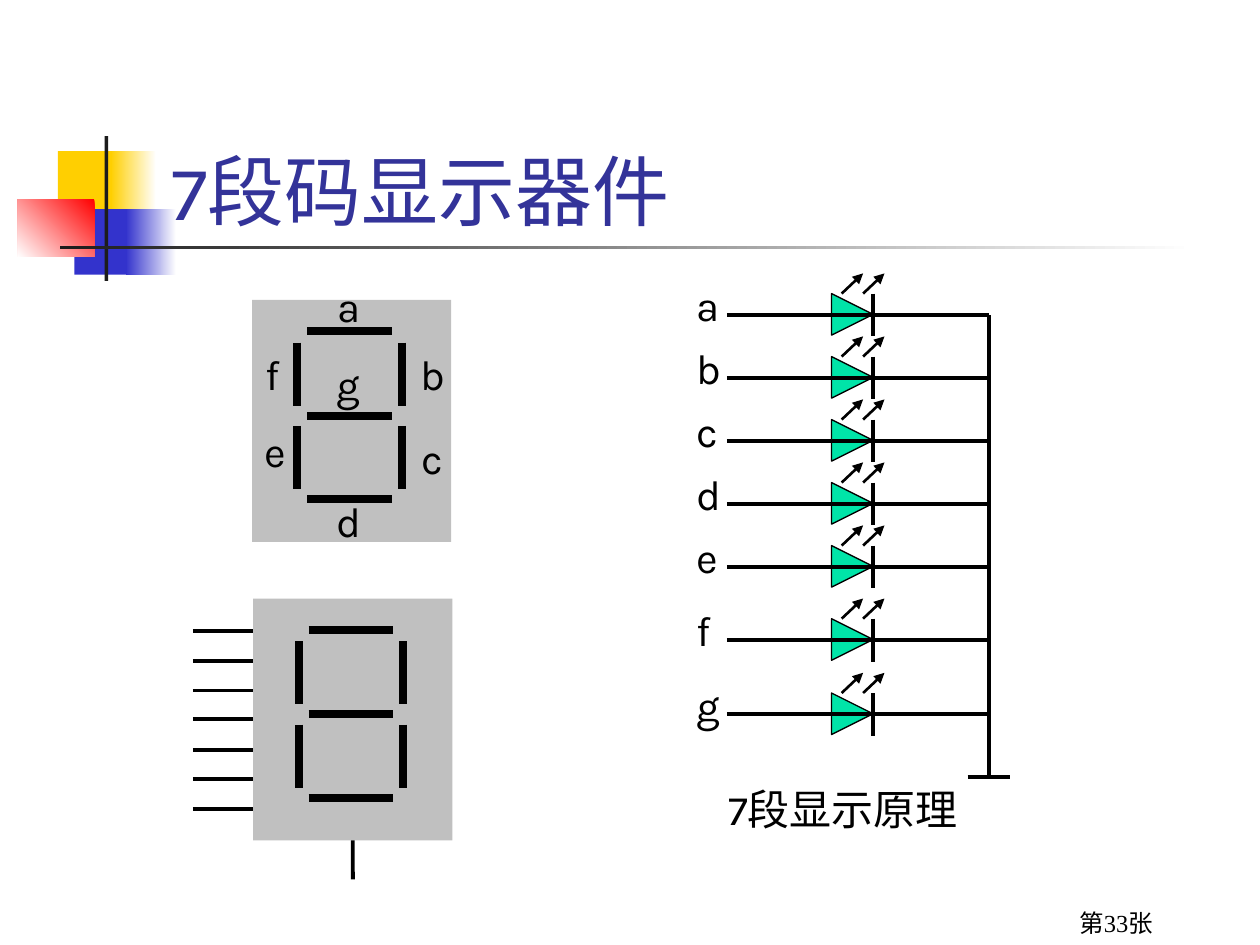
import pptx
import pptx.dml.color
import pptx.enum.shapes
import pptx.enum.text
import pptx.oxml.xmlchemy
import pptx.util

Inches = pptx.util.Inches
RGBColor = pptx.dml.color.RGBColor
OxmlElement = pptx.oxml.xmlchemy.OxmlElement
SHAPES = pptx.enum.shapes.MSO_SHAPE
ANCHOR = pptx.enum.text.MSO_ANCHOR
ALIGN = pptx.enum.text.PP_ALIGN
AUTO_SIZE = pptx.enum.text.MSO_AUTO_SIZE

BLACK = RGBColor(0x00, 0x00, 0x00)
WHITE = RGBColor(0xFF, 0xFF, 0xFF)
YELLOW = RGBColor(0xFF, 0xCF, 0x01)
BLUE = RGBColor(0x33, 0x33, 0xCC)
RED = RGBColor(0xFF, 0x00, 0x00)
CHARCOAL = RGBColor(0x1C, 0x1C, 0x1C)
NAVY = RGBColor(0x33, 0x33, 0x99)
GRAY = RGBColor(0xC0, 0xC0, 0xC0)
GREEN = RGBColor(0x00, 0xE4, 0xA8)

LETTER_WIDTHS = {"a": 0.38, "b": 0.4, "c": 0.36, "d": 0.4, "e": 0.39, "f": 0.31, "g": 0.4}


def write_text(frame, text, *, size=24, font="Karla", color=BLACK, align=ALIGN.LEFT):
    paragraph = frame.paragraphs[0]
    paragraph.alignment = align
    run = paragraph.add_run()
    run.text = text
    run.font.size = pptx.util.Pt(size)
    run.font.name = font
    run.font.color.rgb = color


class Drawing:
    def __init__(self, slide, line_color=BLACK, line_width=2.25):
        self.slide = slide
        self.line_color = line_color
        self.line_width = line_width

    def shape(self, kind, left, top, width, height, color=None, gradient=None, angle=180):
        shape = self.slide.shapes.add_shape(
            kind, Inches(left), Inches(top), Inches(width), Inches(height)
        )
        shape.shadow.inherit = False
        shape.line.fill.background()
        if gradient:
            shape.fill.gradient()
            shape.fill.gradient_angle = angle
            for stop, stop_color in zip(shape.fill.gradient_stops, gradient):
                stop.color.rgb = stop_color
        else:
            shape.fill.solid()
            shape.fill.fore_color.rgb = color
        return shape

    def rectangle(self, *box, **style):
        return self.shape(SHAPES.RECTANGLE, *box, **style)

    def line(self, x1, y1, x2, y2, width=None, arrow=False):
        connector = self.slide.shapes.add_connector(
            pptx.enum.shapes.MSO_CONNECTOR.STRAIGHT,
            Inches(x1), Inches(y1), Inches(x2), Inches(y2),
        )
        connector.line.color.rgb = self.line_color
        connector.line.width = pptx.util.Pt(width or self.line_width)
        if arrow:
            outline = connector.line._get_or_add_ln()
            tail = OxmlElement("a:tailEnd")
            tail.set("type", "triangle")
            outline.append(tail)
        connector._element.spPr.append(OxmlElement("a:effectLst"))
        return connector

    def text(self, text, left, top, width, height=0.5, wrap=False, anchor=ANCHOR.TOP, **style):
        box = self.slide.shapes.add_textbox(
            Inches(left), Inches(top), Inches(width), Inches(height)
        )
        frame = box.text_frame
        frame.word_wrap = wrap
        frame.auto_size = AUTO_SIZE.NONE if wrap else AUTO_SIZE.SHAPE_TO_FIT_TEXT
        frame.vertical_anchor = anchor
        write_text(frame, text, **style)

    def letter(self, letter, left, top):
        self.text(letter, left, top, LETTER_WIDTHS[letter])

    def digit(self, left, top):
        panel = self.rectangle(left, top, 1.58, 1.92, color=GRAY)
        for y in (0.25, 0.92, 1.58):
            self.line(left + 0.44, top + y, left + 1.11, top + y, width=4.5)
        for x in (0.36, 1.19):
            for y in (0.34, 1):
                self.line(left + x, top + y, left + x, top + y + 0.5, width=4.5)
        return panel

    def diode(self, y):
        triangle = self.shape(SHAPES.FLOWCHART_MERGE, 6.6, y - 0.17, 0.33, 0.33, color=GREEN)
        triangle.rotation = 270
        triangle.line.color.rgb = self.line_color
        triangle.line.width = pptx.util.Pt(0.75)
        self.line(6.93, y - 0.17, 6.93, y + 0.17)
        for x in (6.68, 6.85):
            self.line(x, y - 0.17, x + 0.17, y - 0.33, width=1.5, arrow=True)
        self.line(5.77, y, 7.85, y)


def draw_ornament(drawing):
    drawing.rectangle(0.46, 1.2, 0.48, 0.52, color=YELLOW)
    drawing.rectangle(0.88, 1.2, 0.36, 0.52, gradient=(WHITE, YELLOW))
    drawing.rectangle(0.59, 1.66, 0.46, 0.52, color=BLUE)
    drawing.rectangle(1, 1.66, 0.4, 0.52, gradient=(WHITE, BLUE))
    drawing.rectangle(0.14, 1.58, 0.61, 0.46, gradient=(RED, WHITE), angle=225)
    drawing.rectangle(0.83, 1.08, 0.03, 1.15, color=CHARCOAL)
    drawing.rectangle(0.48, 1.95, 9, 0.03, gradient=(WHITE, CHARCOAL))


def draw_labelled_digit(drawing):
    drawing.digit(2, 2.38)
    positions = {
        "a": (2.58, 2.18), "b": (3.24, 2.72), "c": (3.25, 3.38), "d": (2.57, 3.88),
        "e": (2, 3.33), "f": (2.01, 2.72), "g": (2.57, 2.8),
    }
    for letter, position in positions.items():
        drawing.letter(letter, *position)


def draw_circuit(drawing):
    for letter, y in zip("abcdefg", (2.5, 3, 3.5, 4, 4.5, 5.08, 5.67)):
        drawing.diode(y)
        drawing.letter(letter, 5.43, y - 0.33)
    drawing.line(7.85, 6.17, 7.85, 2.5)
    drawing.line(7.68, 6.17, 8.02, 6.17)
    drawing.text("7段显示原理", 5.68, 6.17, 2.13)


def draw_pinned_digit(drawing):
    panel = drawing.digit(2.01, 4.75)
    pins = [drawing.line(1.53, y, 2.01, y) for y in (5.01 + 0.235 * i for i in range(7))]
    middle_pin = pins[3]
    middle_pin.end_connect(panel, 1)
    middle_pin.begin_y = middle_pin.end_y
    common_pin = drawing.line(2.8, 6.67, 2.8, 6.98)
    common_pin.begin_connect(panel, 2)


def main():
    presentation = pptx.Presentation()
    presentation.slide_width = Inches(10)
    presentation.slide_height = Inches(7.5)
    slide = presentation.slides.add_slide(presentation.slide_layouts[6])
    drawing = Drawing(slide)
    draw_ornament(drawing)
    drawing.text("7段码显示器件", 1.26, 0.67, 8.52, 1.25, wrap=True,
                 anchor=ANCHOR.BOTTOM, size=44, color=NAVY)
    draw_labelled_digit(drawing)
    draw_circuit(drawing)
    drawing.text("第33张", 7.17, 7.16, 2.08, 0.33, wrap=True,
                 size=14, font="Times New Roman", align=ALIGN.RIGHT)
    draw_pinned_digit(drawing)
    presentation.save("out.pptx")


if __name__ == "__main__":
    main()
